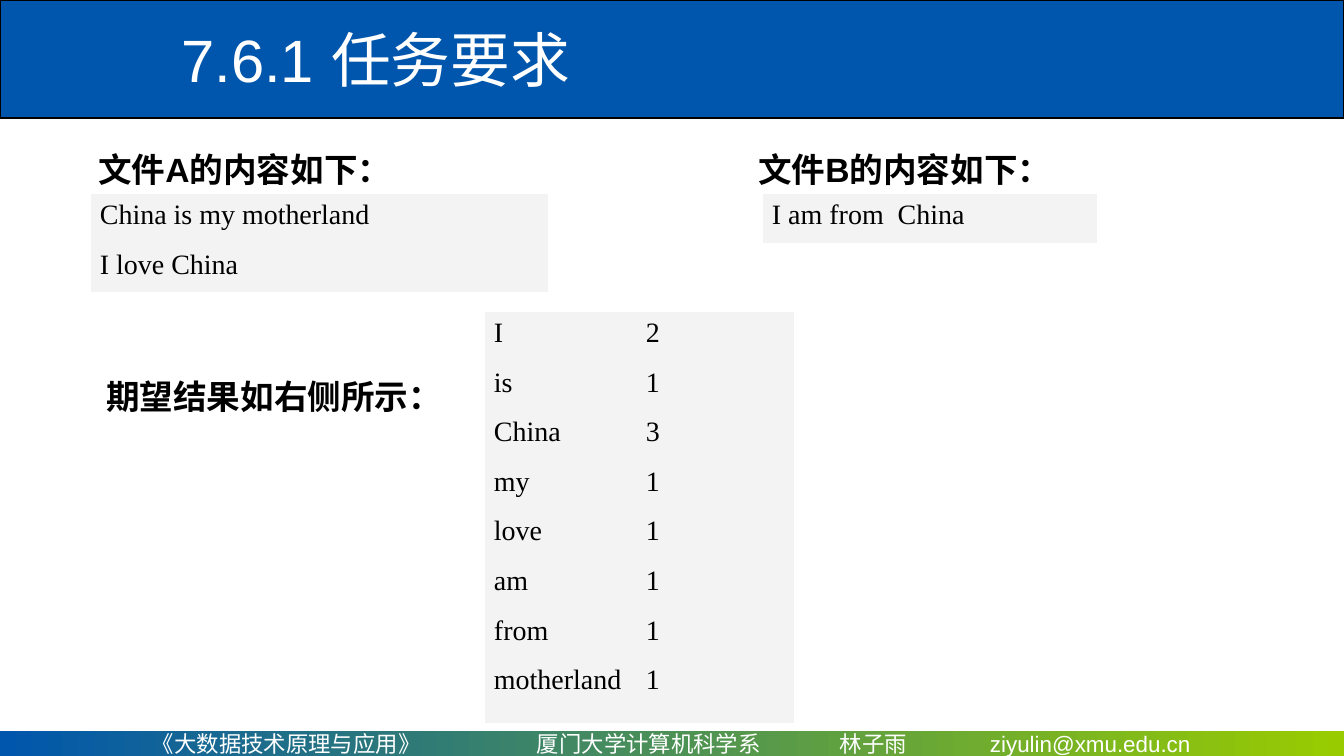
import dataclasses
import pptx
import pptx.dml.color
import pptx.enum.shapes
import pptx.enum.text
import pptx.oxml
import pptx.oxml.ns
import pptx.util

ALIGN = pptx.enum.text.PP_ALIGN
ANCHOR = pptx.enum.text.MSO_ANCHOR
FIT = pptx.enum.text.MSO_AUTO_SIZE
RECT = pptx.enum.shapes.MSO_SHAPE.RECTANGLE


def px(n):
    return pptx.util.Emu(round(n * 914400 / 134.4))


def rgb(code):
    return pptx.dml.color.RGBColor.from_string(code)


@dataclasses.dataclass
class Theme:
    blue: str = "0056AC"
    green: str = "99CC00"
    gray: str = "F3F3F3"
    black: str = "000000"
    white: str = "FFFFFF"
    sans: str = "Arial"
    serif: str = "Times New Roman"
    title: int = 32
    label: int = 18
    body: int = 15
    foot: int = 12


def write(frame, text, size, font, color, bold=False, align=ALIGN.LEFT,
          gap=0, tabs=()):
    for i, line in enumerate(text.split("\n")):
        para = frame.paragraphs[0] if i == 0 else frame.add_paragraph()
        para.text = line
        if tabs:
            stops = pptx.oxml.parse_xml(
                f'<a:tabLst {pptx.oxml.ns.nsdecls("a")}>'
                + "".join(f'<a:tab pos="{px(t)}" algn="l"/>' for t in tabs)
                + "</a:tabLst>")
            para._p.get_or_add_pPr().append(stops)
        para.alignment = align
        if gap:
            para.space_after = pptx.util.Pt(gap)
            if i:
                para.space_before = pptx.util.Pt(gap)
        for run in para.runs:
            run.font.size = pptx.util.Pt(size)
            run.font.name = font
            run.font.bold = bold
            run.font.color.rgb = rgb(color)


class Deck:
    def __init__(self, theme):
        self.theme = theme
        self.file = pptx.Presentation()
        self.file.slide_width = px(1344)
        self.file.slide_height = px(756)
        self.slide = self.file.slides.add_slide(self.file.slide_layouts[5])

    def bar(self, x, y, w, h):
        shape = self.slide.shapes.add_shape(RECT, px(x), px(y), px(w), px(h))
        shape.shadow.inherit = False
        return shape

    def head(self, text):
        look = self.theme
        bar = self.bar(0, 0, 1344, 118)
        bar.fill.solid()
        bar.fill.fore_color.rgb = rgb(look.blue)
        bar.line.color.rgb = rgb(look.black)
        bar.line.width = pptx.util.Pt(0.75)
        title = self.slide.shapes.title
        title.left, title.top = px(168), px(8)
        title.width, title.height = px(1176), px(101)
        frame = title.text_frame
        frame.auto_size = FIT.NONE
        frame.vertical_anchor = ANCHOR.MIDDLE
        write(frame, text, look.title, look.sans, look.white)
        bar._element.addnext(title._element)

    def foot(self, text, left, stops):
        look = self.theme
        bar = self.bar(0, 731, 1344, 25)
        bar.fill.gradient()
        bar.fill.gradient_angle = 0
        for stop, color in zip(bar.fill.gradient_stops, (look.blue, look.green)):
            stop.color.rgb = rgb(color)
        bar.line.fill.background()
        frame = bar.text_frame
        frame.margin_left = px(left)
        frame.margin_right = frame.margin_top = frame.margin_bottom = 0
        frame.word_wrap = True
        frame.vertical_anchor = ANCHOR.MIDDLE
        write(frame, text, look.foot, look.sans, look.white,
              tabs=[s - left for s in stops])

    def label(self, text, x, y, w):
        look = self.theme
        box = self.slide.shapes.add_textbox(px(x), px(y), px(w), px(54))
        frame = box.text_frame
        frame.word_wrap = False
        frame.auto_size = FIT.SHAPE_TO_FIT_TEXT
        write(frame, text, look.label, look.sans, look.black, bold=True)

    def table(self, text, x, y, w, h, tabs=()):
        look = self.theme
        grid = self.slide.shapes.add_table(1, 1, px(x), px(y), px(w), px(h)).table
        grid.first_row = grid.horz_banding = False
        cell = grid.cell(0, 0)
        cell.fill.solid()
        cell.fill.fore_color.rgb = rgb(look.gray)
        cell.margin_left = cell.margin_right = px(10)
        cell.margin_top = cell.margin_bottom = px(7)
        write(cell.text_frame, text, look.body, look.serif, look.black,
              align=ALIGN.JUSTIFY, gap=5, tabs=tabs)


def main():
    deck = Deck(Theme())
    deck.head("7.6.1 任务要求")
    deck.foot("《大数据技术原理与应用》\t厦门大学计算机科学系\t林子雨\tziyulin@xmu.edu.cn",
              152, (537, 840, 990))
    deck.label("文件A的内容如下：", 85, 142, 336)
    deck.table("China is my motherland\nI love China", 90, 193, 459, 86)
    deck.label("文件B的内容如下：", 745, 142, 336)
    deck.table("I am from  China", 762, 193, 336, 51)
    deck.label("期望结果如右侧所示：", 93, 369, 363)
    counts = {"I": 2, "is": 1, "China": 3, "my": 1, "love": 1, "am": 1,
              "from": 1, "motherland": 1}
    deck.table("\n".join(f"{word}\t{n}" for word, n in counts.items()),
               484, 311, 311, 399, tabs=[152])
    deck.file.save("out.pptx")


if __name__ == "__main__":
    main()
